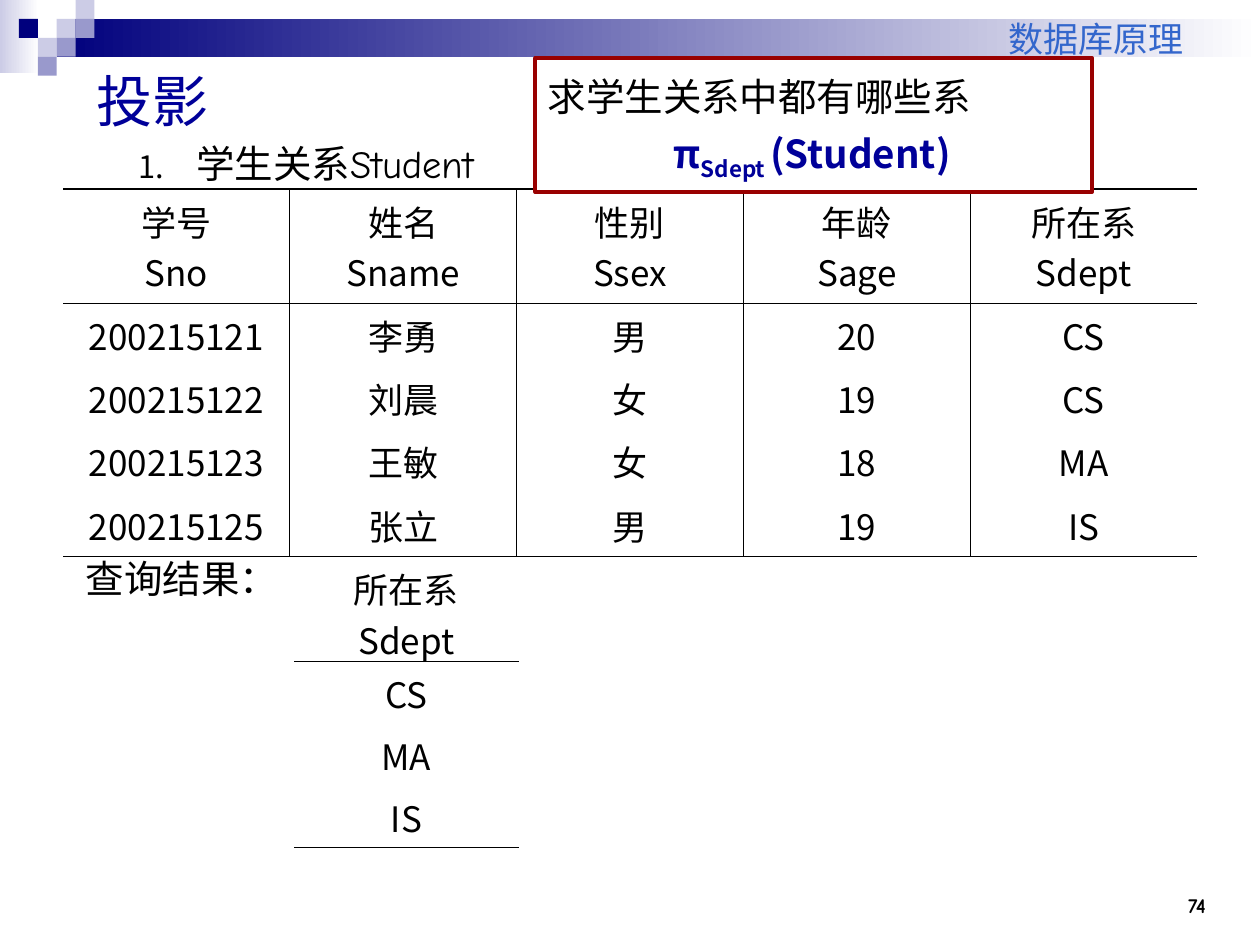
import pptx
import pptx.dml.color
import pptx.enum.shapes
import pptx.enum.text
import pptx.oxml.xmlchemy
import pptx.util

UNIT = pptx.util.Inches(1) / 12
TILE = 1.8
COMIC = "Comic Neue"
NOTO = "Noto Sans CJK SC"
ALIGN = pptx.enum.text.PP_ALIGN
ANCHOR = pptx.enum.text.MSO_ANCHOR
THIN, THICK = 0.45, 1.08
STUDENTS = [
    ["学号\nSno", "姓名\nSname", "性别\nSsex", "年龄\nSage", "所在系\nSdept"],
    ["200215121", "李勇", "男", "20", "CS"],
    ["200215122", "刘晨", "女", "19", "CS"],
    ["200215123", "王敏", "女", "18", "MA"],
    ["200215125", "张立", "男", "19", "IS"],
]
DEPARTMENTS = [["所在系\nSdept"], ["CS"], ["MA"], ["IS"]]


def color(value):
    return pptx.dml.color.RGBColor.from_string(value)


def grid(*cells):
    return [pptx.util.Emu(round(cell * UNIT)) for cell in cells]


def element(parent, tag, **attributes):
    child = pptx.oxml.xmlchemy.OxmlElement(tag)
    for name, value in attributes.items():
        child.set(name, str(value))
    parent.append(child)
    return child


def write(para, text, size=20, font=NOTO, fill="000000", bold=False, baseline=0,
          align=ALIGN.LEFT, spacing=None, before=0):
    para.alignment = align
    para.space_before = pptx.util.Pt(before)
    if spacing:
        para.line_spacing = spacing
    span = para.add_run()
    span.text = text
    span.font.size = pptx.util.Pt(size)
    span.font.bold = bold
    span.font.color.rgb = color(fill)
    span.font.name = font
    properties = span._r.get_or_add_rPr()
    element(properties, "a:ea", typeface=NOTO)
    if baseline:
        properties.set("baseline", str(baseline * 1000))


def place(shape, *cells):
    shape.left, shape.top, shape.width, shape.height = grid(*cells)


def add_rectangle(page, cells, fill, fade=False):
    box = page.shapes.add_shape(pptx.enum.shapes.MSO_SHAPE.RECTANGLE, *grid(*cells))
    box.shadow.inherit = False
    box.line.fill.background()
    if fade:
        box.fill.gradient()
        box.fill.gradient_angle = 0
        for stop, value, position in zip(box.fill.gradient_stops, (fill, "FFFFFF"), (0, 1)):
            stop.color.rgb = color(value)
            stop.position = position
    else:
        box.fill.solid()
        box.fill.fore_color.rgb = color(fill)
    return box


def add_label(page, cells, text, anchor=ANCHOR.TOP, right=1.2, **style):
    frame = page.shapes.add_textbox(*grid(*cells)).text_frame
    frame.word_wrap = True
    frame.vertical_anchor = anchor
    frame.margin_right = grid(right)[0]
    write(frame.paragraphs[0], text, **style)


def add_header(page):
    add_rectangle(page, (0, 0, 3.7, 7), "CCCCE6", fade=True)
    add_rectangle(page, (3 * TILE, TILE, 120 - 3 * TILE, 2 * TILE), "00007D", fade=True)
    tiles = {"CCCCE6": [(3, 1), (4, 0), (2, 2)], "9999CC": [(4, 1), (3, 2), (2, 3)],
             "00007D": [(1, 1)]}
    for fill, spots in tiles.items():
        for column, row in spots:
            add_rectangle(page, (column * TILE, row * TILE, TILE, TILE), fill)
    add_label(page, (46, 0, 71, 6.25), "数据库原理", anchor=ANCHOR.BOTTOM, right=4.3,
              font=COMIC, fill="3366CC", align=ALIGN.RIGHT)


def fill_placeholders(page):
    title, body = page.placeholders
    place(title, 8, 5, 108, 9)
    place(body, 6, 11, 53, 70)
    for box in (title, body):
        box.text_frame.auto_size = pptx.enum.text.MSO_AUTO_SIZE.NONE
    title.text_frame.vertical_anchor = ANCHOR.MIDDLE
    write(title.text_frame.paragraphs[0], "投影", size=32, font=COMIC, fill="000099")
    para = body.text_frame.paragraphs[0]
    para.level = 1
    properties = para._p.get_or_add_pPr()
    properties.set("marL", str(grid(11.5)[0]))
    properties.set("indent", str(grid(-5.5)[0]))
    element(element(properties, "a:buClr"), "a:srgbClr", val="000000")
    element(properties, "a:buSzPct", val=80000)
    element(properties, "a:buFont", typeface=NOTO)
    element(properties, "a:buAutoNum", type="arabicPeriod")
    write(para, "学生关系Student", size=22, font=COMIC, spacing=1.4)


def set_borders(cell, widths):
    properties = cell._tc.get_or_add_tcPr()
    for side, width in zip("LRTB", widths):
        line = element(properties, f"a:ln{side}", w=pptx.util.Pt(width))
        if width:
            element(element(line, "a:solidFill"), "a:srgbClr", val="000000")
        else:
            element(line, "a:noFill")


def add_grid_table(page, cells, rows, header, top, bottom, margin):
    count, last = len(rows[0]), len(rows) - 1
    table = page.shapes.add_table(len(rows), count, *grid(*cells)).table
    table.first_row = table.horz_banding = False
    for column in table.columns:
        column.width = grid(cells[2] / count)[0]
    for index, row in enumerate(table.rows):
        row.height = grid((cells[3] - header) / last if index else header)[0]
        for position, text in enumerate(rows[index]):
            cell = table.cell(index, position)
            cell.margin_bottom = grid(margin)[0]
            set_borders(cell, (THIN if position else 0,
                               THIN if position < count - 1 else 0,
                               {0: top, 1: THIN}.get(index, 0),
                               {0: THIN, last: bottom}.get(index, 0)))
            cell.fill.background()
            for number, line in enumerate(text.split("\n")):
                frame = cell.text_frame
                para = frame.add_paragraph() if number else frame.paragraphs[0]
                write(para, line, align=ALIGN.CENTER)


def add_question(page):
    box = add_rectangle(page, (51, 5.5, 53, 12.8), "FFFFFF")
    box.line.color.rgb = color("990000")
    box.line.width = pptx.util.Pt(2.25)
    frame = box.text_frame
    frame.word_wrap = True
    frame.vertical_anchor = ANCHOR.TOP
    write(frame.paragraphs[0], "求学生关系中都有哪些系", size=22, spacing=1.2)
    para = frame.add_paragraph()
    para._p.get_or_add_pPr().set("marL", str(grid(12)[0]))
    for text, baseline in (("π", 0), ("Sdept ", -25), ("(Student)", 0)):
        write(para, text, size=22, fill="000099", bold=True, baseline=baseline, spacing=1.2)


def main():
    deck = pptx.Presentation()
    deck.slide_width, deck.slide_height = grid(120, 90)
    page = deck.slides.add_slide(deck.slide_layouts[1])
    fill_placeholders(page)
    add_header(page)
    add_label(page, (106, 82, 10, 6), "74", anchor=ANCHOR.BOTTOM, size=12, font=COMIC,
              bold=True, align=ALIGN.RIGHT)
    add_grid_table(page, (6, 18, 108, 35), STUDENTS, 10.9, THICK, THICK, 0.6)
    add_question(page)
    add_grid_table(page, (28, 53, 21.4, 27.7), DEPARTMENTS, 10, 0, THIN, 0)
    add_label(page, (7, 51, 25, 7), "查询结果：", size=22, spacing=1.3)
    deck.save("out.pptx")


if __name__ == "__main__":
    main()
